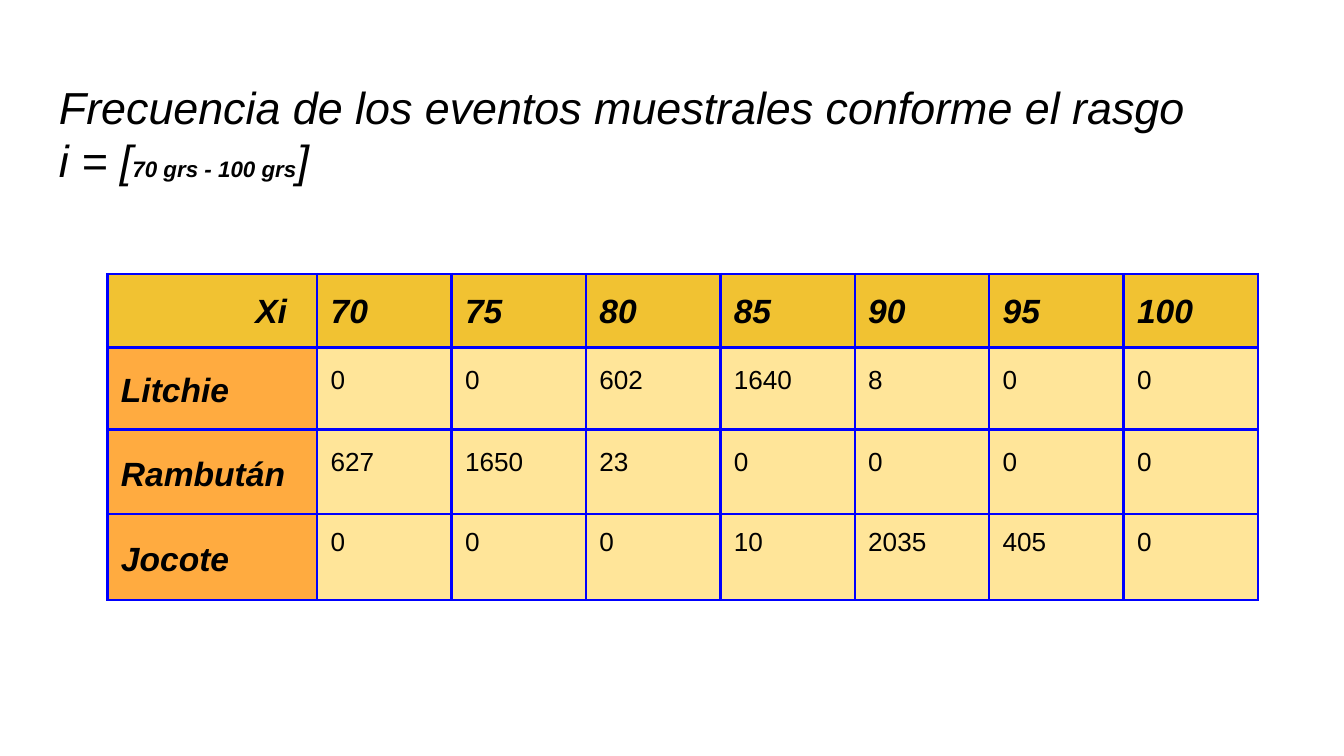
from pptx import Presentation
from pptx.dml.color import RGBColor
from pptx.enum import text
from pptx.oxml import parse_xml
from pptx.oxml.ns import nsdecls
from pptx.util import Inches, Pt

COLORS = {"text": "000000", "border": "0000FF", "header": "F1C232",
          "label": "FFAB40", "value": "FFE599"}
ROWS = [
    [" \tXi", "70", "75", "80", "85", "90", "95", "100"],
    ["Litchie", "0", "0", "602", "1640", "8", "0", "0"],
    ["Rambután", "627", "1650", "23", "0", "0", "0", "0"],
    ["Jocote", "0", "0", "0", "10", "2035", "405", "0"],
]
WIDTHS = [1.56] + [1] * 7
HEIGHTS = [0.49, 0.61, 0.63, 0.64]


def add_run(p, content, size, bold, italic):
    r = p.add_run()
    r.text = content
    r.font.name = "Arial"
    r.font.size = Pt(size)
    r.font.bold = bold
    r.font.italic = italic
    r.font.color.rgb = RGBColor.from_string(COLORS["text"])


def style_cell(cell, color):
    tc_pr = cell._tc.get_or_add_tcPr()
    for side in ("lnL", "lnR", "lnT", "lnB"):
        tc_pr.append(parse_xml(
            f'<a:{side} {nsdecls("a")} w="{Pt(1.5)}"><a:solidFill>'
            f'<a:srgbClr val="{COLORS["border"]}"/></a:solidFill></a:{side}>'))
    cell.fill.solid()
    cell.fill.fore_color.rgb = RGBColor.from_string(COLORS[color])
    cell.margin_left = cell.margin_right = Inches(0.1)
    cell.margin_top = cell.margin_bottom = Inches(0.1)


prs = Presentation()
prs.slide_width = Inches(10)
prs.slide_height = Inches(10) * 9 // 16
s = prs.slides.add_slide(prs.slide_layouts[6])

title = s.shapes.add_textbox(Inches(0.34), Inches(0.49), Inches(9.22), Inches(1))
tf = title.text_frame
tf.word_wrap = True
tf.margin_left = tf.margin_right = Inches(0.1)
tf.margin_top = tf.margin_bottom = Inches(0.1)
p = tf.paragraphs[0]
add_run(p, "Frecuencia de los eventos muestrales conforme el rasgo", 24, False, True)
p = tf.add_paragraph()
add_run(p, "i = [", 24, False, True)
add_run(p, "70 grs - 100 grs", 12, True, True)
add_run(p, "]", 24, False, True)

frame = s.shapes.add_table(len(ROWS), len(WIDTHS), Inches(0.8), Inches(2.04),
                           Inches(sum(WIDTHS)), Inches(sum(HEIGHTS)))
table = frame.table
table.horz_banding = False
for column, width in zip(table.columns, WIDTHS):
    column.width = Inches(width)
for row, height in zip(table.rows, HEIGHTS):
    row.height = Inches(height)

for i, values in enumerate(ROWS):
    for j, value in enumerate(values):
        cell = table.cell(i, j)
        heading = i == 0 or j == 0
        style_cell(cell, "header" if i == 0 else "label" if j == 0 else "value")
        if i > 0 and j == 0:
            cell.vertical_anchor = text.MSO_ANCHOR.MIDDLE
        p = cell.text_frame.paragraphs[0]
        if heading or i < 3:
            p.line_spacing = 1.15
        add_run(p, value, 18 if heading else 14, heading, heading)

p = table.cell(0, 0).text_frame.paragraphs[0]
p._p.get_or_add_pPr().append(parse_xml(
    f'<a:tabLst {nsdecls("a")}><a:tab pos="{Inches(1)}" algn="l"/></a:tabLst>'))

prs.save("out.pptx")
